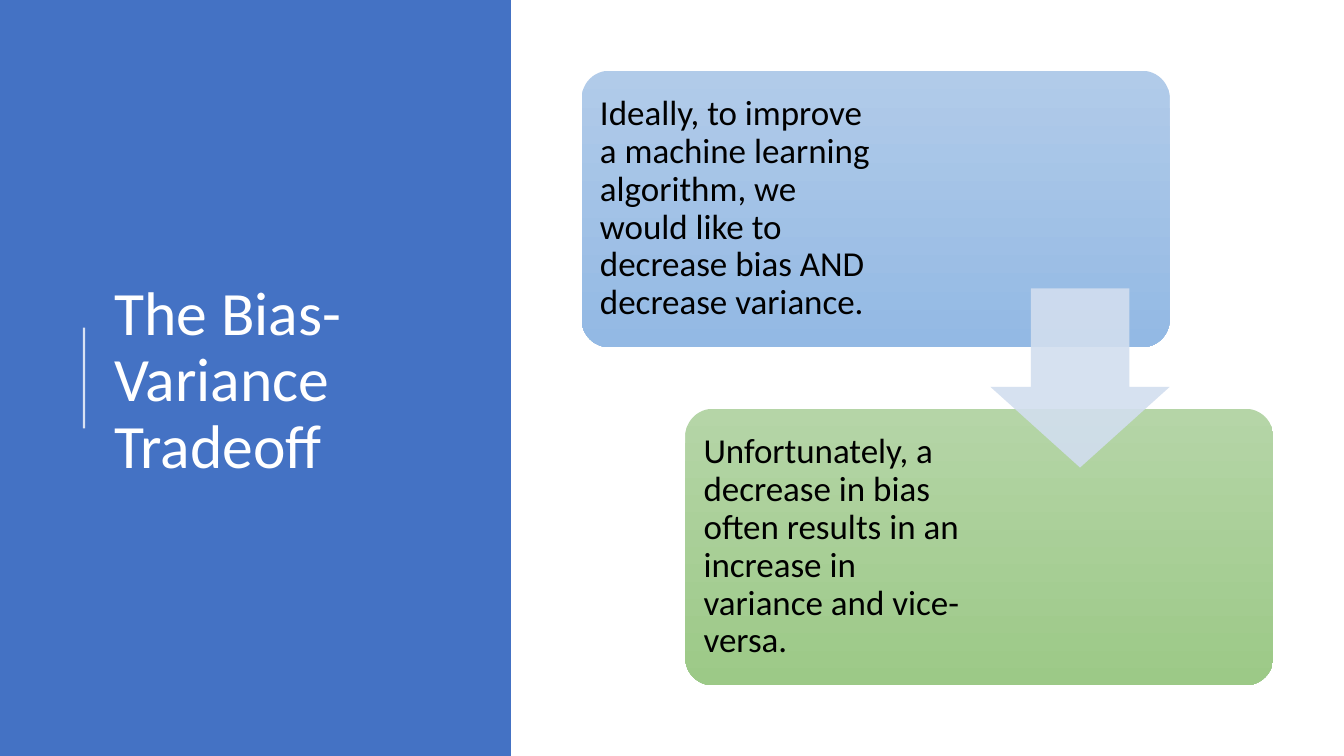
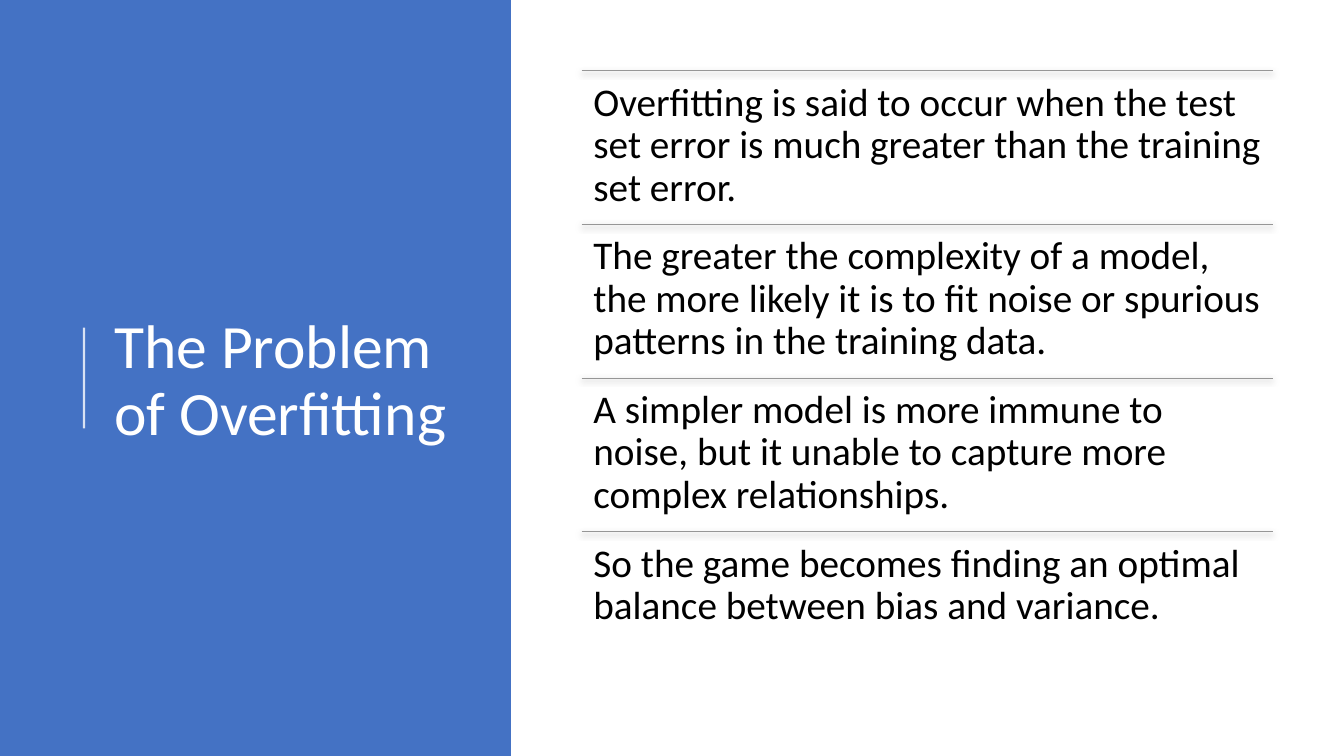
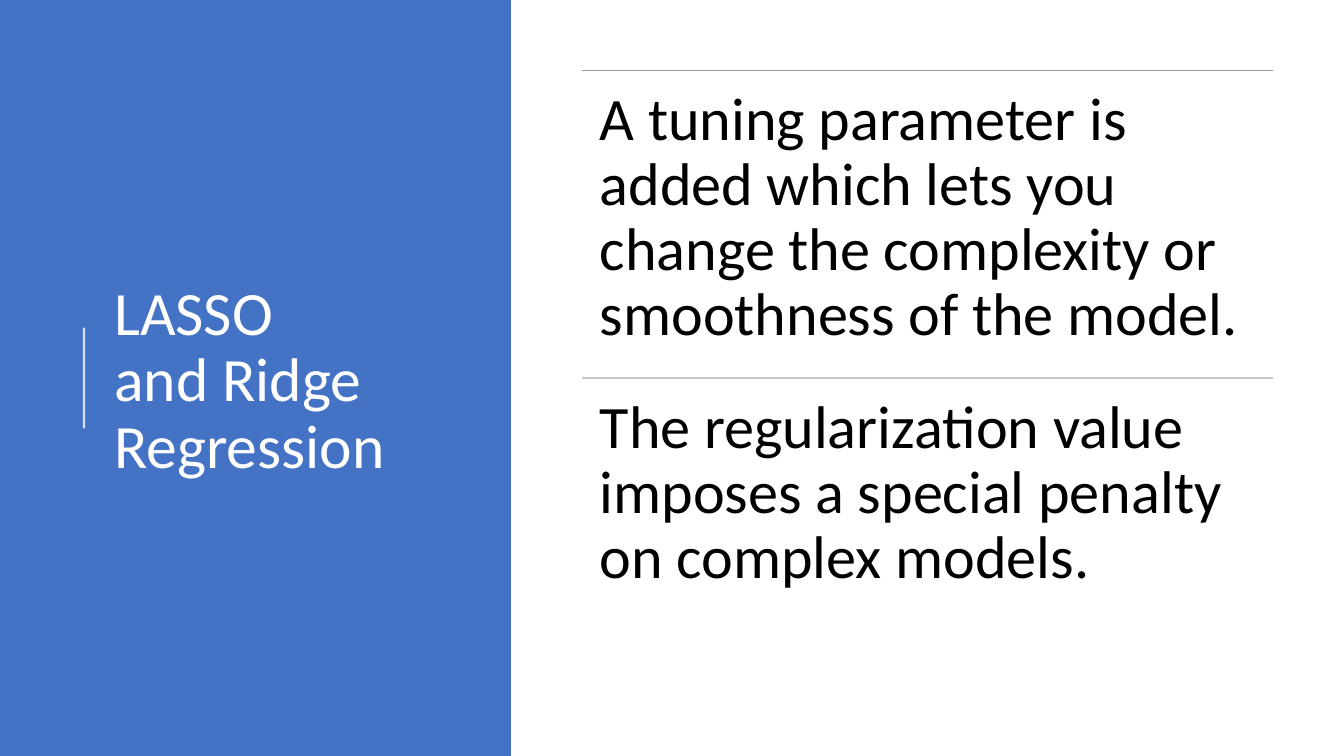
from lxml.etree import SubElement
from pptx import Presentation
from pptx.dml.color import RGBColor
from pptx.enum.shapes import MSO_CONNECTOR, MSO_SHAPE
from pptx.enum.text import MSO_ANCHOR as Anchor
from pptx.oxml.ns import qn
from pptx.util import Pt

TRADEOFF = {
    "title": "The Bias-Variance Tradeoff",
    "cards": [
        ("Ideally, to improve a machine learning algorithm, we would like to "
         "decrease bias AND decrease variance.", ("B1CBE9", "93B9E4"), 215.5),
        ("Unfortunately, a decrease in bias often results in an increase in "
         "variance and vice-versa.", ("B5D5A7", "9CC987"), 206),
    ],
}
LISTS = [
    {
        "title": "The Problem of Overfitting",
        "rows": [
            "Overfitting is said to occur when the test set error is much "
            "greater than the training set error.",
            "The greater the complexity of a model, the more likely it is to "
            "fit noise or spurious patterns in the training data.",
            "A simpler model is more immune to noise, but it unable to capture "
            "more complex relationships.",
            "So the game becomes finding an optimal balance between bias and "
            "variance.",
        ],
        "rules": ["969696"] * 4,
        "rule_width": 0.5, "size": 28, "inset": 8.4, "shadow": True,
    },
    {
        "title": "LASSO\vand Ridge Regression",
        "rows": [
            "A tuning parameter is added which lets you change the complexity "
            "or smoothness of the model.",
            "The regularization value imposes a special penalty on complex "
            "models.",
        ],
        "rules": ["969696", "C6C6C6"],
        "rule_width": 1, "size": 43, "inset": 12.9, "shadow": False,
    },
]


class Theme:
    font = "Calibri"
    panel = "4472C4"
    light = "FFFFFF"
    ink = "000000"
    arrow = "D2DEEF"
    title_size = 44
    card_size = 25
    line_spacing = 0.9


SLIDE_WIDTH, SLIDE_HEIGHT = 960, 540
PANEL_WIDTH = 365
LEFT, TOP, WIDTH, HEIGHT = 415.5, 50.5, 494, 439
CARD_WIDTH, CARD_HEIGHT, CARD_PAD = 420, 197.5, 6
ARROW_SIZE = 128


def rgb(value):
    return RGBColor.from_string(value)


def set_alpha(fill_properties, percent):
    color = fill_properties.find(".//" + qn("a:srgbClr"))
    SubElement(color, qn("a:alpha"), val=str(percent * 1000))


def add_shape(slide, kind, left, top, width, height):
    shape = slide.shapes.add_shape(kind, Pt(left), Pt(top), Pt(width), Pt(height))
    shape.shadow.inherit = False
    shape.line.fill.background()
    return shape


def add_text(slide, text, box, size, color, inset=(7.2, 7.2), anchor=Anchor.TOP):
    frame = slide.shapes.add_textbox(*map(Pt, box)).text_frame
    frame.word_wrap = True
    frame.vertical_anchor = anchor
    frame.margin_left = frame.margin_right = Pt(inset[0])
    frame.margin_top = frame.margin_bottom = Pt(inset[1])
    paragraph = frame.paragraphs[0]
    paragraph.text = text
    paragraph.line_spacing = Theme.line_spacing
    paragraph.font.name = Theme.font
    paragraph.font.size = Pt(size)
    paragraph.font.color.rgb = rgb(color)


def add_line(slide, start, end, color, width, alpha=None, shadow=False):
    line = slide.shapes.add_connector(
        MSO_CONNECTOR.STRAIGHT, *map(Pt, (*start, *end)))
    line.line.color.rgb = rgb(color)
    line.line.width = Pt(width)
    properties = line._element.spPr
    if alpha:
        set_alpha(properties, alpha)
    effects = SubElement(properties, qn("a:effectLst"))
    if shadow:
        outer = SubElement(
            effects, qn("a:outerShdw"), blurRad=str(Pt(4.5)), dist=str(Pt(1.5)),
            dir="5400000", algn="ctr", rotWithShape="0")
        SubElement(outer, qn("a:srgbClr"), val=Theme.ink)
        set_alpha(outer, 63)


def add_titled_slide(presentation, title):
    slide = presentation.slides.add_slide(presentation.slide_layouts[6])
    panel = add_shape(slide, MSO_SHAPE.RECTANGLE, 0, 0, PANEL_WIDTH, SLIDE_HEIGHT)
    panel.fill.solid()
    panel.fill.fore_color.rgb = rgb(Theme.panel)
    add_line(slide, (60, 306), (60, 234), Theme.light, 1.5, alpha=80)
    add_text(slide, title, (74.5, 56, 266, 433.5), Theme.title_size, Theme.light,
             (7.2, 3.6), Anchor.MIDDLE)
    return slide


def add_tradeoff(presentation, content):
    slide = add_titled_slide(presentation, content["title"])
    steps = len(content["cards"]) - 1
    for index, (text, colors, text_width) in enumerate(content["cards"]):
        left = LEFT + index * (WIDTH - CARD_WIDTH) / steps
        top = TOP + index * (HEIGHT - CARD_HEIGHT) / steps
        card = add_shape(slide, MSO_SHAPE.ROUNDED_RECTANGLE,
                         left, top, CARD_WIDTH, CARD_HEIGHT)
        card.adjustments[0] = 0.1
        card.fill.gradient()
        card.fill.gradient_angle = 270
        for stop, color, position in zip(card.fill.gradient_stops, colors, (0, 1)):
            stop.color.rgb = rgb(color)
            stop.position = position
        box = (left + CARD_PAD, top + CARD_PAD,
               text_width, CARD_HEIGHT - 2 * CARD_PAD)
        add_text(slide, text, box, Theme.card_size, Theme.ink,
                 anchor=Anchor.MIDDLE)

    arrow = add_shape(slide, MSO_SHAPE.DOWN_ARROW, LEFT + CARD_WIDTH - ARROW_SIZE,
                      (SLIDE_HEIGHT - ARROW_SIZE) / 2, ARROW_SIZE, ARROW_SIZE)
    arrow.adjustments[0] = 0.45
    arrow.adjustments[1] = 0.45
    arrow.adjustments[0] = 0.55
    arrow.fill.solid()
    arrow.fill.fore_color.rgb = rgb(Theme.arrow)
    set_alpha(arrow._element.spPr, 90)


def add_ruled_list(presentation, content):
    slide = add_titled_slide(presentation, content["title"])
    row_height = HEIGHT / len(content["rows"])
    for index, (text, color) in enumerate(zip(content["rows"], content["rules"])):
        top = TOP + index * row_height
        add_line(slide, (LEFT, top), (LEFT + WIDTH, top), color,
                 content["rule_width"], shadow=content["shadow"])
        add_text(slide, text, (LEFT, top, WIDTH, row_height), content["size"],
                 Theme.ink, (content["inset"], content["inset"]))


def main():
    presentation = Presentation()
    presentation.slide_width = Pt(SLIDE_WIDTH)
    presentation.slide_height = Pt(SLIDE_HEIGHT)
    add_tradeoff(presentation, TRADEOFF)
    for content in LISTS:
        add_ruled_list(presentation, content)
    presentation.save("out.pptx")


if __name__ == "__main__":
    main()
